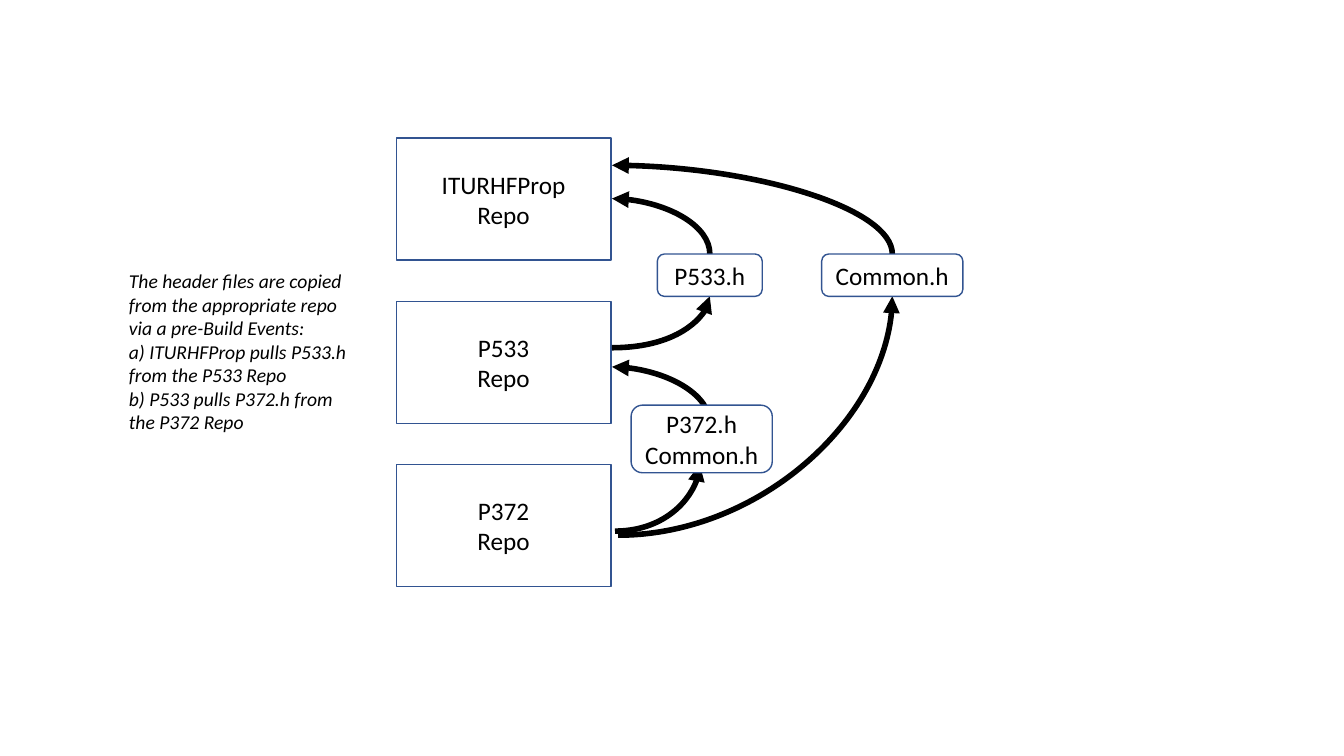
from dataclasses import dataclass

from lxml.etree import SubElement
from pptx import Presentation
from pptx.dml.color import RGBColor
from pptx.enum.shapes import MSO_CONNECTOR as Connector, MSO_SHAPE as Shape
from pptx.enum.text import MSO_ANCHOR as Anchor, MSO_AUTO_SIZE as AutoSize, PP_ALIGN as Align
from pptx.oxml.ns import qn
from pptx.util import Inches, Pt


@dataclass(frozen=True)
class Theme:
    font: str = "Calibri"
    text: RGBColor = RGBColor(0x00, 0x00, 0x00)
    fill: RGBColor = RGBColor(0xFF, 0xFF, 0xFF)
    outline: RGBColor = RGBColor(0x32, 0x54, 0x91)
    label_size: int = 18
    note_size: int = 14
    outline_width: int = 1
    arrow_width: int = 4


class Diagram:
    def __init__(self, slide, theme):
        self.slide = slide
        self.theme = theme

    def add_lines(self, frame, lines, size, align, italic=False):
        font_format = {"name": self.theme.font, "size": Pt(size), "italic": italic}
        for index, line in enumerate(lines):
            paragraph = frame.add_paragraph() if index else frame.paragraphs[0]
            paragraph.alignment = align
            run = paragraph.add_run()
            run.text = line
            run.font.color.rgb = self.theme.text
            for name, value in font_format.items():
                setattr(run.font, name, value)

    def box(self, kind, left, top, width, height, lines):
        shape = self.slide.shapes.add_shape(
            kind, Inches(left), Inches(top), Inches(width), Inches(height))
        shape.shadow.inherit = False
        shape.fill.solid()
        shape.fill.fore_color.rgb = self.theme.fill
        shape.line.color.rgb = self.theme.outline
        shape.line.width = Pt(self.theme.outline_width)
        shape.text_frame.vertical_anchor = Anchor.MIDDLE
        self.add_lines(shape.text_frame, lines, self.theme.label_size, Align.CENTER)

    def note(self, left, top, width, height, lines):
        shape = self.slide.shapes.add_textbox(
            Inches(left), Inches(top), Inches(width), Inches(height))
        frame_format = {"word_wrap": False, "auto_size": AutoSize.SHAPE_TO_FIT_TEXT}
        for name, value in frame_format.items():
            setattr(shape.text_frame, name, value)
        self.add_lines(shape.text_frame, lines, self.theme.note_size, Align.LEFT, italic=True)

    def arrow(self, start, end, leaves_upward=False):
        """Draw a quarter-curve arrow that leaves sideways, or upward if asked."""
        (x1, y1), (x2, y2) = start, end
        if leaves_upward:
            # The frame is stored unturned: same centre, sides swapped.
            middle_x, middle_y = (x1 + x2) / 2, (y1 + y2) / 2
            half_width, half_height = abs(y2 - y1) / 2, abs(x2 - x1) / 2
            x1, x2 = middle_x - half_width, middle_x + half_width
            y1, y2 = middle_y + half_height, middle_y - half_height
        connector = self.slide.shapes.add_connector(
            Connector.CURVE, Inches(x1), Inches(y1), Inches(x2), Inches(y2))
        connector.line.color.rgb = self.theme.text
        connector.line.width = Pt(self.theme.arrow_width)
        properties = connector._element.spPr
        properties.find(qn("a:prstGeom")).set("prst", "curvedConnector2")
        if leaves_upward:
            properties.find(qn("a:xfrm")).set("rot", str(270 * 60000))
        SubElement(properties.find(qn("a:ln")), qn("a:tailEnd"), type="triangle")
        SubElement(properties, qn("a:effectLst"))


REPOS = ["ITURHFProp", "P533", "P372"]
REPO_LEFT, REPO_TOP, REPO_WIDTH, REPO_HEIGHT = 3.93, 1.37, 2.13, 1.21
REPO_STEP = 1.62
REPO_RIGHT = 6.07
P533_X, P372_X, COMMON_X = 7.04, 6.94, 8.85
HEADER_TOP, HEADER_HEIGHT = 2.52, 0.42
HEADER_BOTTOM = HEADER_TOP + HEADER_HEIGHT
NOTE = [
    "The header files are copied",
    "from the appropriate repo",
    "via a pre-Build Events:",
    "a) ITURHFProp pulls P533.h",
    "from the P533 Repo",
    "b) P533 pulls P372.h from",
    "the P372 Repo",
]


def main():
    presentation = Presentation()
    presentation.slide_width = Inches(13.33)
    presentation.slide_height = Inches(7.5)
    blank_layout = presentation.slide_layouts[6]
    diagram = Diagram(presentation.slides.add_slide(blank_layout), Theme())

    for row, repo in enumerate(REPOS):
        diagram.box(Shape.RECTANGLE, REPO_LEFT, REPO_TOP + row * REPO_STEP,
                    REPO_WIDTH, REPO_HEIGHT, [repo, "Repo"])

    diagram.arrow((P533_X, HEADER_TOP), (REPO_RIGHT, 1.97), leaves_upward=True)
    diagram.arrow((6.1, 5.27), (P372_X, 4.61))
    diagram.arrow((REPO_RIGHT, 3.45), (P533_X, HEADER_BOTTOM))
    diagram.arrow((P533_X, 4.2), (REPO_RIGHT, 3.64), leaves_upward=True)
    diagram.arrow((6.13, 5.31), (COMMON_X, HEADER_BOTTOM))
    diagram.arrow((COMMON_X, HEADER_TOP), (REPO_RIGHT, 1.64), leaves_upward=True)

    for left, top, width, height, lines in [
        (6.52, HEADER_TOP, 1.04, HEADER_HEIGHT, ["P533.h"]),
        (6.26, 4.02, 1.4, 0.67, ["P372.h", "Common.h"]),
        (8.15, HEADER_TOP, 1.4, HEADER_HEIGHT, ["Common.h"]),
    ]:
        diagram.box(Shape.ROUNDED_RECTANGLE, left, top, width, height, lines)

    diagram.note(1.18, 2.62, 2.51, 1.75, NOTE)
    presentation.save("out.pptx")


if __name__ == "__main__":
    main()
